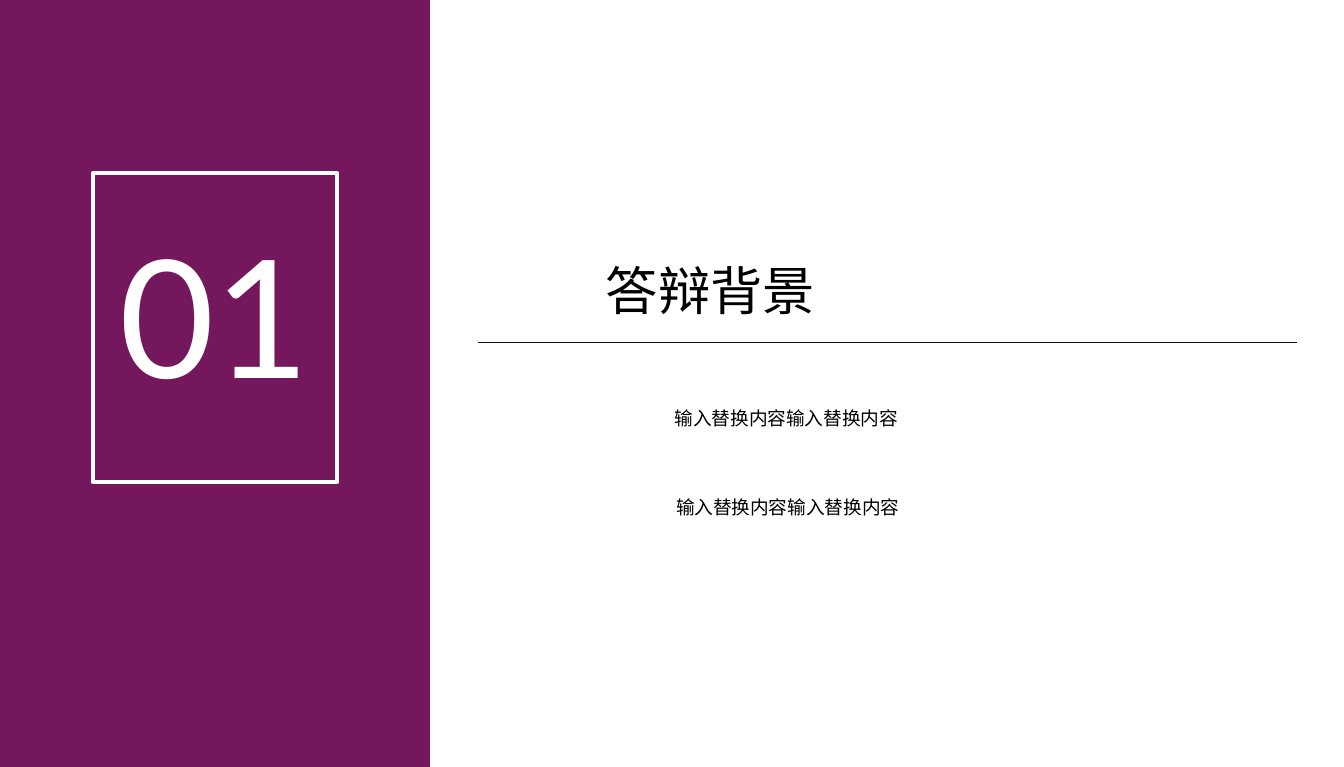
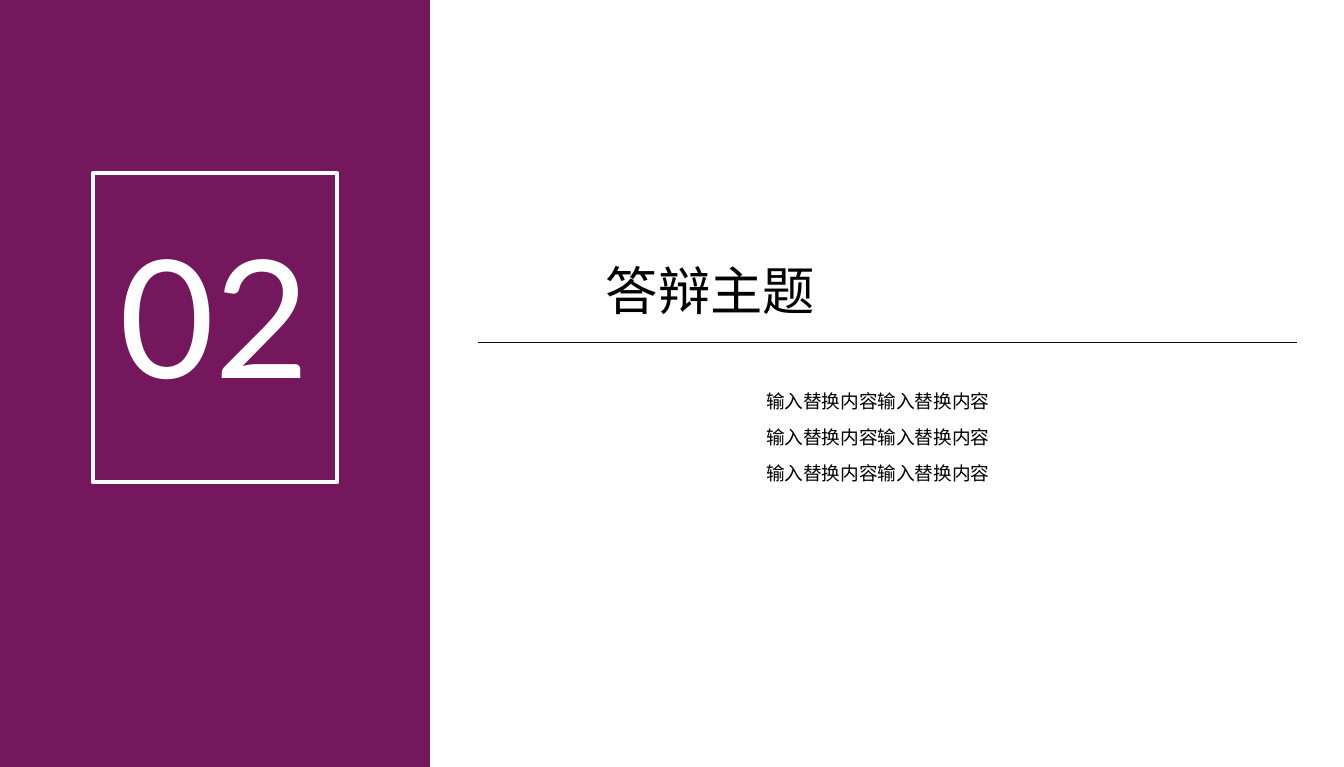
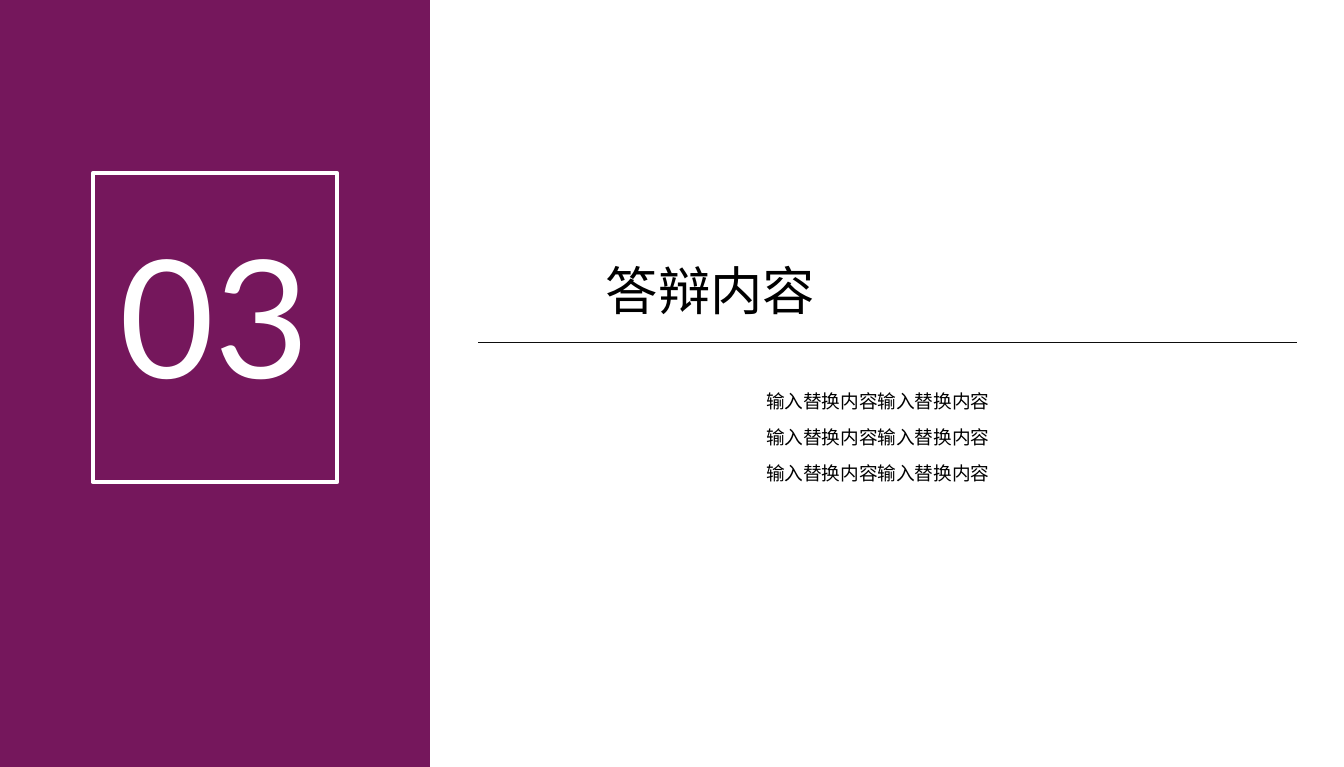
from lxml import etree
from pptx import Presentation
from pptx.dml.color import RGBColor
from pptx.enum import shapes, text
from pptx.oxml import ns
from pptx.util import Pt

BODY = "输入替换内容输入替换内容"
LIST_SPOTS = [(256.3, 205.2 + 19.44 * row) for row in range(3)]
CHAPTERS = [
    ("01", 124.6, "答辩背景", [(208.1, 262.1), (207.4, 214.6)]),
    ("02", 129.6, "答辩主题", LIST_SPOTS),
    ("03", 129.6, "答辩内容", LIST_SPOTS),
]


def color(value):
    return RGBColor.from_string(value)


def write(frame, content, font, size, ink, align=text.PP_ALIGN.LEFT, wrap=True):
    frame.word_wrap = wrap
    frame.auto_size = text.MSO_AUTO_SIZE.SHAPE_TO_FIT_TEXT
    frame.vertical_anchor = text.MSO_ANCHOR.MIDDLE
    paragraph = frame.paragraphs[0]
    paragraph.alignment = align
    run = paragraph.add_run()
    run.text = content
    run.font.name = font
    run.font.size = Pt(size)
    run.font.color.rgb = color(ink)
    east_asian = etree.SubElement(run.font._element, ns.qn("a:ea"))
    east_asian.set("typeface", font)


class Deck:
    purple, white, black, rule_ink = "75175C", "FFFFFF", "000000", "0D0D0D"
    number_font, text_font = "Lato", "Noto Sans CJK SC"
    width, height = 720, 411.12

    def __init__(self):
        self.file = Presentation()
        self.file.slide_width = Pt(self.width)
        self.file.slide_height = Pt(self.height)
        self.slide = None

    def new_slide(self):
        self.slide = self.file.slides.add_slide(self.file.slide_layouts[6])

    def rect(self, x, y, w, h, fill=None, line=None, weight=2.25):
        block = self.slide.shapes.add_shape(
            shapes.MSO_SHAPE.RECTANGLE, Pt(x), Pt(y), Pt(w), Pt(h))
        block.shadow.inherit = False
        if fill:
            block.fill.solid()
            block.fill.fore_color.rgb = color(fill)
        else:
            block.fill.background()
        if line:
            block.line.color.rgb = color(line)
            block.line.width = Pt(weight)
        else:
            block.line.fill.background()

    def rule(self, x1, x2, y):
        divider = self.slide.shapes.add_connector(
            shapes.MSO_CONNECTOR.STRAIGHT, Pt(x1), Pt(y), Pt(x2), Pt(y))
        divider.line.color.rgb = color(self.rule_ink)
        divider.line.width = Pt(0.5)
        etree.SubElement(divider._element.spPr, ns.qn("a:effectLst"))

    def label(self, x, y, w, h, content, **style):
        box = self.slide.shapes.add_textbox(Pt(x), Pt(y), Pt(w), Pt(h))
        write(box.text_frame, content, **style)

    def chapter(self, number, number_width, title, body_spots):
        self.new_slide()
        self.rect(0, 0, 230.4, self.height, fill=self.purple)
        self.rect(49.7, 92.9, 131, 165.6, line=self.white)
        self.label(56.9, 110.9, number_width, 113.8, number,
                   font=self.number_font, size=88, ink=self.white, wrap=False)
        self.label(317.5, 134.6, 127.4, 41, title,
                   font=self.text_font, size=28, ink=self.black, wrap=False)
        self.rule(256.3, 694.8, 183.6)
        for x, y in body_spots:
            self.label(x, y, 427.7, 19.4, BODY, font=self.text_font, size=10,
                       ink=self.black, align=text.PP_ALIGN.CENTER)


def main():
    deck = Deck()
    for chapter in CHAPTERS:
        deck.chapter(*chapter)
    deck.file.save("out.pptx")


if __name__ == "__main__":
    main()
